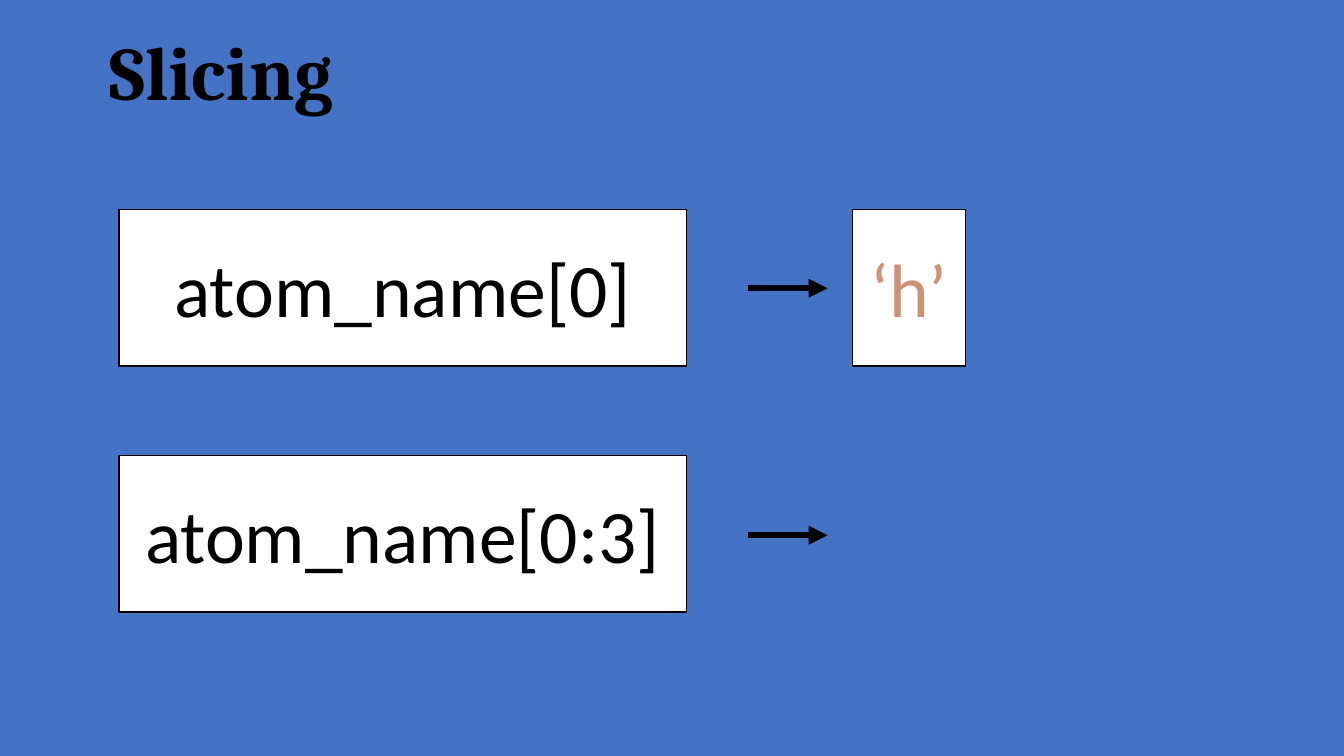
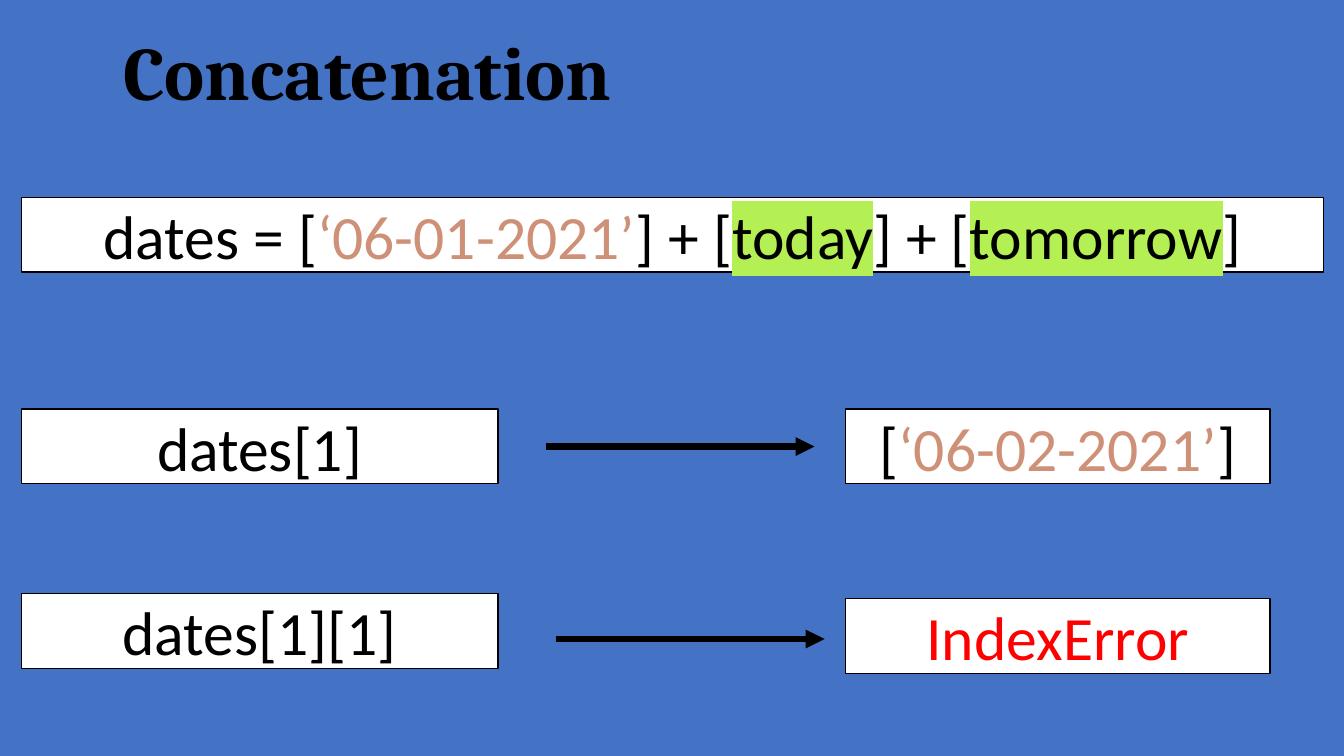
from pptx import Presentation
from pptx import util as u
from pptx.dml.color import RGBColor
from pptx.enum import shapes, text
from pptx.oxml import parse_xml
from pptx.oxml.ns import nsdecls, qn

# Theme: colours, fonts and type sizes
THEME = {
    "back": "4473C5", "box": "FFFFFF", "ink": "000000",
    "quote": "CE9178", "error": "FF0000", "mark": "B4EF54",
    "head": {"name": "Cambria", "size": u.Pt(54), "bold": True},
    "code": {"name": "Calibri"},
    "edge": u.Pt(1), "arrow": u.Pt(4.5),
}

# Lengths below are percent of the slide's width (x) and height (y).
# A box is (left, top, width, runs); a run is (words, colour, marked).
# An arrow is (left, middle, width).
SLIDES = [
    {"title": "Slicing", "wide": 32.93, "size": 54, "tall": 20.67,
     "boxes": [
         (8.85, 27.73, 42.23, [("atom_name[0]", "ink", False)]),
         (8.85, 60.27, 42.23, [("atom_name[0:3]", "ink", False)]),
         (63.45, 27.73, 8.4, [("‘h’", "quote", False)])],
     "arrows": [(55.65, 38.13, 5.93), (55.65, 70.8, 5.93)]},
    {"title": "Concatenation", "wide": 54.69, "size": 44, "tall": 9.87,
     "boxes": [
         (1.58, 26.13, 96.92, [
             ("dates = [", "ink", False), ("‘06-01-2021’", "quote", False),
             ("] + [", "ink", False), ("today", "ink", True),
             ("] + [", "ink", False), ("tomorrow", "ink", True),
             ("]", "ink", False)]),
         (1.58, 54.13, 35.48, [("dates[1]", "ink", False)]),
         (1.58, 78.53, 35.48, [("dates[1][1]", "ink", False)]),
         (62.93, 54.13, 31.58, [
             ("[", "ink", False), ("‘06-02-2021’", "quote", False),
             ("]", "ink", False)]),
         (62.93, 79.2, 31.58, [("IndexError", "error", False)])],
     "arrows": [(40.65, 59.07, 19.95), (41.4, 84.53, 19.95)]},
]

deck = Presentation()
deck.slide_width, deck.slide_height = u.Inches(13.33), u.Inches(7.5)


def place(x, y):
    return int(deck.slide_width * x / 100), int(deck.slide_height * y / 100)


def style(font, tone, form):
    font.fill.solid()
    font.fill.fore_color.rgb = RGBColor.from_string(THEME[tone])
    for key, val in form.items():
        setattr(font, key, val)


# Shared background
fill = deck.slide_master.background.fill
fill.solid()
fill.fore_color.rgb = RGBColor.from_string(THEME["back"])

for page in SLIDES:
    slide = deck.slides.add_slide(deck.slide_layouts[5])

    # Title, raised in its frame by the bottom inset
    title = slide.shapes.title
    title.left, title.top = place(0, 1.33)
    title.width, title.height = place(page["wide"], 26.4)
    frame = title.text_frame
    frame.text = page["title"]
    form = {"word_wrap": True, "auto_size": text.MSO_AUTO_SIZE.NONE,
            "vertical_anchor": text.MSO_ANCHOR.MIDDLE,
            "margin_bottom": u.Inches(0.72)}
    for key, val in form.items():
        setattr(frame, key, val)
    para = frame.paragraphs[0]
    para.alignment, para.line_spacing = text.PP_ALIGN.CENTER, 0.9
    style(para.runs[0].font, "ink", THEME["head"])

    # Code boxes
    for left, top, wide, runs in page["boxes"]:
        box = slide.shapes.add_shape(
            shapes.MSO_SHAPE.RECTANGLE,
            *place(left, top), *place(wide, page["tall"]))
        box.shadow.inherit = False
        for part, tone in ((box.fill, "box"), (box.line.fill, "ink")):
            part.solid()
            part.fore_color.rgb = RGBColor.from_string(THEME[tone])
        box.line.width = THEME["edge"]
        box.text_frame.vertical_anchor = text.MSO_ANCHOR.MIDDLE
        para = box.text_frame.paragraphs[0]
        para.alignment = text.PP_ALIGN.CENTER
        for words, tone, marked in runs:
            run = para.add_run()
            run.text = words
            style(run.font, tone, {**THEME["code"], "size": u.Pt(page["size"])})
            if marked:
                run.font._element.find(qn("a:solidFill")).addnext(parse_xml(
                    f'<a:highlight {nsdecls("a")}>'
                    f'<a:srgbClr val="{THEME["mark"]}"/></a:highlight>'))

    # Arrows
    for left, mid, wide in page["arrows"]:
        arrow = slide.shapes.add_connector(
            shapes.MSO_CONNECTOR.STRAIGHT,
            *place(left, mid), *place(left + wide, mid))
        arrow.line.width = THEME["arrow"]
        arrow.line.color.rgb = RGBColor.from_string(THEME["ink"])
        arrow.line._get_or_add_ln().append(parse_xml(
            f'<a:tailEnd {nsdecls("a")} type="triangle"/>'))
        arrow._element.spPr.append(parse_xml(f'<a:effectLst {nsdecls("a")}/>'))

deck.save("out.pptx")
